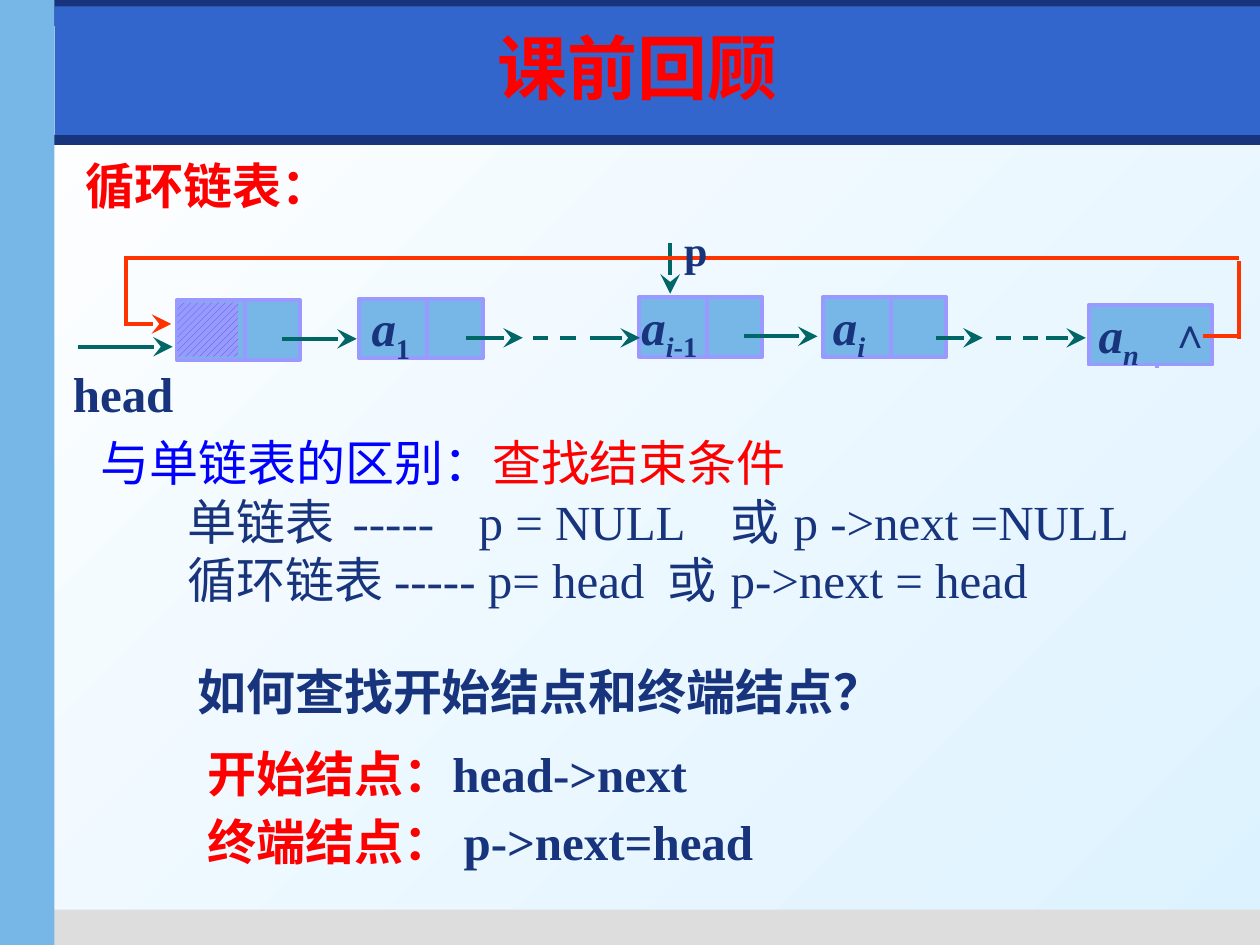
import pptx
import pptx.util
import pptx.dml.color
import pptx.enum.dml
import pptx.enum.shapes
import pptx.enum.text
import pptx.oxml
import pptx.oxml.ns

Cm, Pt = pptx.util.Cm, pptx.util.Pt
ALIGN = pptx.enum.text.PP_ALIGN
ANCHOR = pptx.enum.text.MSO_ANCHOR
RECT = pptx.enum.shapes.MSO_SHAPE.RECTANGLE
NS = pptx.oxml.ns.nsdecls("a")

HEX = {"navy": "17347D", "blue": "3366CC", "sky": "77B7E7", "grey": "DDDDDD",
       "teal": "006666", "lilac": "9999FF", "orange": "FF3300", "red": "FF0000",
       "pure": "0000FF", "white": "FFFFFF", "ice": "DDF2FF"}
SERIF, SANS = "Times New Roman", "Arial"

BANDS = [("navy", 0.1, 2.72, 25.3, 0.2), ("grey", 0.89, 18.34, 24.51, 0.71),
         ("navy", 0, 0, 25.4, 0.53), ("blue", 1.1, 0.13, 24.3, 2.59),
         ("sky", 0, 0, 1.1, 19.05)]

NODE = (2.49, 1.2)
SPLIT = 1.37
HATCH = (3.58, 6.1, 1.22, 1.09)
SUB = {"sub": True}
NODES = [
    (3.56, 6.05, 0, 0, []),
    (7.24, 6.02, 0, 0.25, [("a", {}), ("1", {"sub": True, "italic": False})]),
    (12.88, 5.99, 0, 0.05, [("a", {}), ("i", SUB), ("-1", {"sub": True, "italic": False})]),
    (16.59, 5.99, 0, 0.2, [("a", {}), ("i", SUB)]),
    (21.95, 6.15, 0.07, 0.2, [("a", {}), ("n", SUB)]),
]

LINES = {
    "teal": [(1.57, 6.99, 3.48, 6.99, "arrow"), (5.69, 6.83, 7.19, 6.83, "arrow"),
             (9.4, 6.81, 10.54, 6.81, "arrow"), (10.74, 6.81, 11.63, 6.81, "dash"),
             (11.89, 6.81, 12.9, 6.81, "arrow"), (14.99, 6.78, 16.48, 6.78, "arrow"),
             (18.87, 6.81, 19.81, 6.81, "arrow"), (20.07, 6.81, 20.93, 6.81, "dash"),
             (21.08, 6.81, 21.89, 6.81, "arrow"), (13.51, 4.9, 13.51, 5.92, "arrow")],
    "orange": [(24.94, 6.78, 24.26, 6.78, ""), (24.97, 5.26, 24.97, 6.83, ""),
               (2.49, 5.21, 24.97, 5.21, ""), (2.54, 5.18, 2.54, 6.55, ""),
               (2.51, 6.53, 3.45, 6.53, "arrow")],
}

TITLE = {"at": (7.72, 0, 10.26, 2.67), "font": SANS, "size": 40, "bold": True,
         "anchor": ANCHOR.MIDDLE, "align": ALIGN.CENTER,
         "paras": [[("课前回顾", "red")]]}
BODY = {"at": (1.47, 3.15, 5.77, 1.35), "font": SANS, "size": 28, "bold": True,
        "pitch": 0.9, "paras": [[("循环链表：", "red")]]}
BOXES = [
    {"at": (1.47, 7.32, 2.11, 1.3), "inset": 0, "font": SERIF, "size": 28,
     "bold": True, "paras": [[("head", "navy")]]},
    {"at": (23.32, 6.05, 0.94, 1.27), "font": SERIF, "size": 24, "bold": True,
     "align": ALIGN.CENTER, "paras": [[("∧", "navy")]]},
    {"at": (13.79, 4.52, 0.69, 1.02), "inset": 0, "font": SERIF, "size": 24,
     "bold": True, "paras": [[("p", "navy")]]},
    {"at": (1.78, 8.59, 22.48, 3.99), "font": SERIF, "size": 28, "bold": False,
     "indent": 1.75, "tabs": [[], [5.2, 7.3, 12.15, 13.85], [11.95, 13.85]],
     "paras": [[("与单链表的区别：", "pure"), ("查找结束条件", "red")],
               [("单链表\t-----\tp = NULL\t或\tp ->next =NULL", "navy")],
               [("循环链表 ----- p= head\t或\tp->next = head", "navy")]]},
    {"at": (3.73, 13.21, 16.13, 1.45), "font": SANS, "size": 28, "bold": True,
     "paras": [[("如何查找开始结点和终端结点？", "navy")]]},
    {"at": (3.94, 14.86, 12.65, 3.35), "font": SERIF, "size": 28, "bold": True,
     "wrap": False, "shade": True, "gap": 5.6,
     "paras": [[("开始结点：", "red"), ("head->next", "navy")],
               [("终端结点： ", "red"), ("p->next=head", "navy")]]},
]


def rgb(name):
    """Return the named colour."""
    return pptx.dml.color.RGBColor.from_string(HEX[name])


def apply(obj, vals):
    """Set each named value on an object."""
    for key, val in vals.items():
        setattr(obj, key, val)


def place(shape, at):
    """Move and size a shape in centimetres."""
    apply(shape, dict(zip(("left", "top", "width", "height"), map(Cm, at))))


def block(shapes, at, fill, edge=None):
    """Draw a flat rectangle."""
    shape = shapes.add_shape(RECT, *map(Cm, at))
    shape.shadow.inherit = False
    shape.fill.solid()
    shape.fill.fore_color.rgb = rgb(fill)
    if edge:
        shape.line.color.rgb = rgb(edge)
        shape.line.width = Pt(2.25)
    else:
        shape.line.fill.background()
    return shape


def stroke(shapes, ends, tint, kind=""):
    """Draw a straight line, dashed or with an arrowhead."""
    line = shapes.add_connector(pptx.enum.shapes.MSO_CONNECTOR.STRAIGHT, *map(Cm, ends))
    apply(line.line, {"width": Pt(2.25)})
    line.line.color.rgb = rgb(tint)
    if kind == "dash":
        line.line.dash_style = pptx.enum.dml.MSO_LINE.DASH
    if kind == "arrow":
        line.line._get_or_add_ln().append(pptx.oxml.parse_xml(
            f'<a:tailEnd {NS} type="stealth" w="lg" len="lg"/>'))
    line._element.spPr.append(pptx.oxml.parse_xml(f"<a:effectLst {NS}/>"))


def write(para, text, tint, vals):
    """Add a formatted run to a paragraph."""
    run = para.add_run()
    run.text = text
    apply(run.font, vals)
    run.font.color.rgb = rgb(tint)
    return run


def fill_text(shape, item):
    """Put the paragraphs of an item in a shape."""
    frame = shape.text_frame
    apply(frame, {"word_wrap": item.get("wrap", True),
                  "auto_size": pptx.enum.text.MSO_AUTO_SIZE.NONE,
                  "vertical_anchor": item.get("anchor", ANCHOR.TOP)})
    if "inset" in item:
        sides = ("left", "top", "right", "bottom")
        apply(frame, {f"margin_{side}": Cm(item["inset"]) for side in sides})
    vals = {"name": item["font"], "size": Pt(item["size"]), "bold": item["bold"]}
    for num, runs in enumerate(item["paras"]):
        para = frame.add_paragraph() if num else frame.paragraphs[0]
        props = para._p.get_or_add_pPr()
        props.set("marL", "0")
        props.set("indent", str(Cm(item.get("indent", 0) if num else 0)))
        props.append(pptx.oxml.parse_xml(f"<a:buNone {NS}/>"))
        stops = item["tabs"][num] if "tabs" in item else []
        if stops:
            marks = "".join(f'<a:tab pos="{int(Cm(pos))}" algn="l"/>' for pos in stops)
            props.append(pptx.oxml.parse_xml(f"<a:tabLst {NS}>{marks}</a:tabLst>"))
        apply(para, {"alignment": item.get("align", ALIGN.LEFT),
                     "line_spacing": item.get("pitch", 1.0),
                     "space_before": Pt(item.get("gap", 0) if num else 0)})
        for text, tint in runs:
            run = write(para, text, tint, vals)
            if item.get("shade"):
                run._r.rPr.find(pptx.oxml.ns.qn("a:solidFill")).addnext(pptx.oxml.parse_xml(
                    f'<a:effectLst {NS}><a:outerShdw blurRad="38100" dist="38100" dir="2700000">'
                    '<a:srgbClr val="C0C0C0"/></a:outerShdw></a:effectLst>'))


def draw_node(shapes, left, top, drop, inset, runs):
    """Draw a list node with its divider and label."""
    ends = (left + SPLIT, top + drop, left + SPLIT, top + drop + NODE[1])
    if drop:
        stroke(shapes, ends, "lilac")
    shape = block(shapes, (left, top, *NODE), "sky", "lilac")
    if not drop:
        stroke(shapes, ends, "lilac")
    frame = shape.text_frame
    apply(frame, {"margin_left": Cm(inset), "margin_top": 0, "margin_right": 0,
                  "margin_bottom": Cm(0.2), "vertical_anchor": ANCHOR.TOP})
    para = frame.paragraphs[0]
    apply(para, {"alignment": ALIGN.LEFT, "line_spacing": 0.9})
    for text, look in runs:
        run = write(para, text, "navy", {"name": SERIF, "size": Pt(28), "bold": True,
                                         "italic": look.get("italic", True)})
        if look.get("sub"):
            run._r.rPr.set("baseline", "-25000")


def main():
    """Build the slide and save it."""
    deck = pptx.Presentation()
    apply(deck, {"slide_width": Cm(25.4), "slide_height": Cm(19.05)})
    slide = deck.slides.add_slide(deck.slide_layouts[1])
    shapes = slide.shapes
    back = slide.background.fill
    back.gradient()
    back.gradient_angle = 315
    for stop, tint in zip(back.gradient_stops, ("white", "ice")):
        stop.color.rgb = rgb(tint)
    for tint, *at in BANDS:
        block(shapes, at, tint)
    for node in NODES:
        draw_node(shapes, *node)
    hatch = block(shapes, HATCH, "lilac")
    hatch.fill.patterned()
    hatch.fill.pattern = pptx.enum.dml.MSO_PATTERN.WIDE_UPWARD_DIAGONAL
    hatch.fill.fore_color.rgb = rgb("blue")
    hatch.fill.back_color.rgb = rgb("lilac")
    for tint, rows in LINES.items():
        for *ends, kind in rows:
            stroke(shapes, ends, tint, kind)
    for shape, item in ((shapes.placeholders[1], BODY), (shapes.title, TITLE)):
        place(shape, item["at"])
        fill_text(shape, item)
        shapes._spTree.append(shape._element)
    for item in BOXES:
        fill_text(shapes.add_textbox(*map(Cm, item["at"])), item)
    deck.save("out.pptx")


if __name__ == "__main__":
    main()
